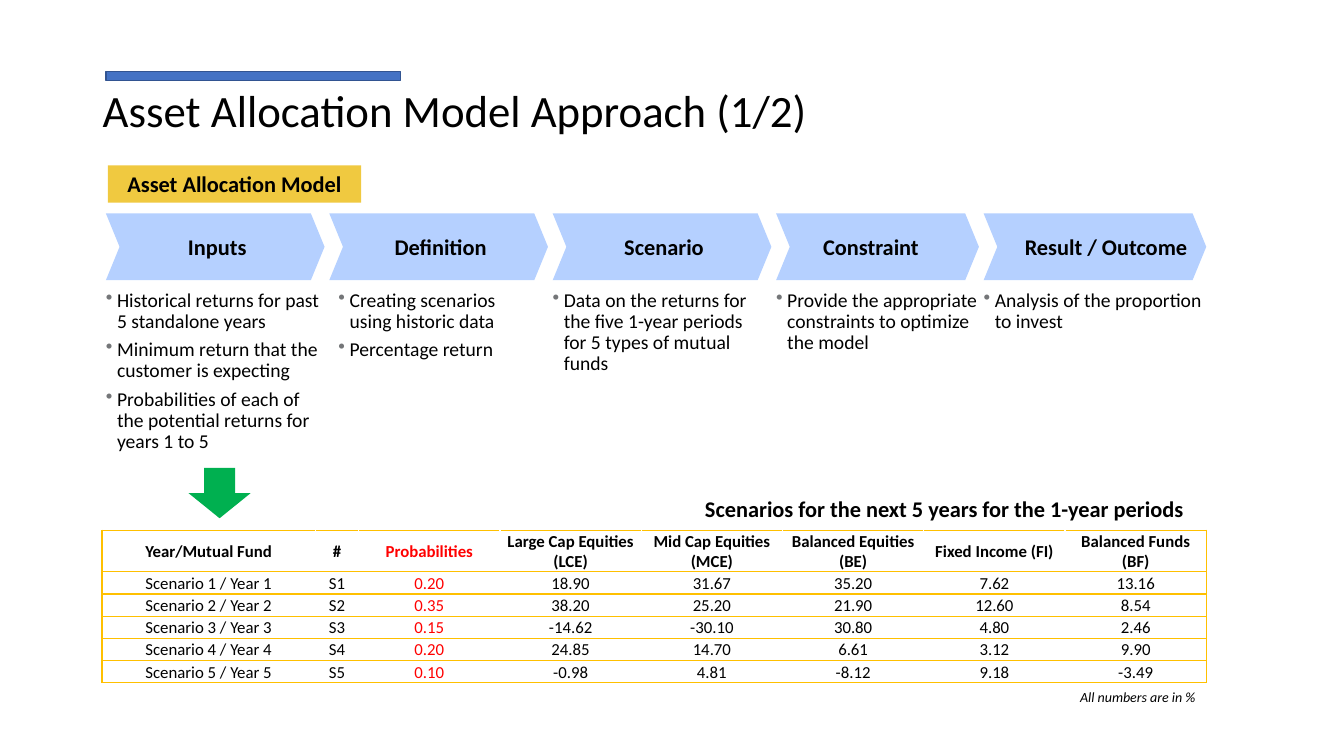
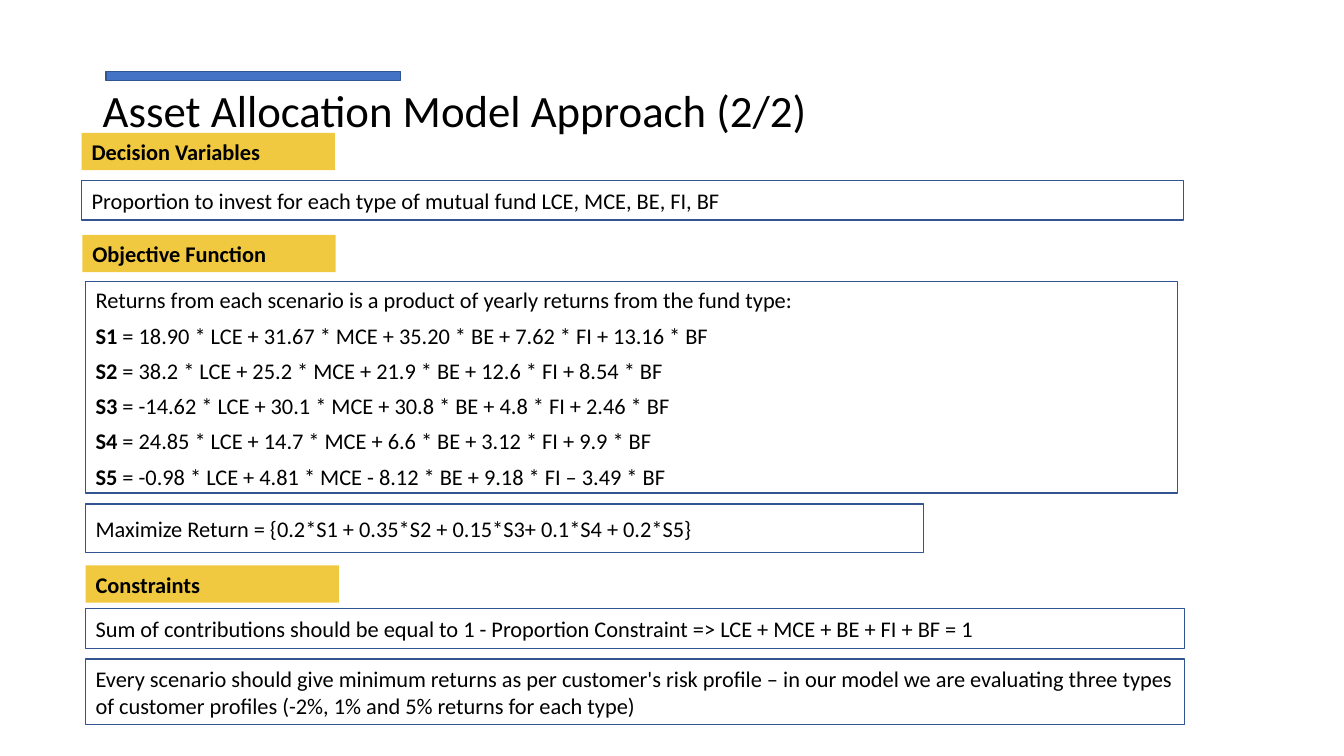
from pptx import Presentation
from pptx.dml.color import RGBColor
from pptx.enum.shapes import MSO_SHAPE
from pptx.enum.text import MSO_ANCHOR, PP_ALIGN
from pptx.oxml import parse_xml
from pptx.oxml.ns import nsdecls
from pptx.util import Cm, Pt

# ---- Shared style ----
FONT = "Calibri"
BLACK, WHITE, RED = "000000", "FFFFFF", "FF0000"
BLUE, NAVY, PALE_BLUE = "4472C4", "325491", "B5D0FF"
GOLD, TABLE_GOLD, GREEN, BULLET_GREY = "F0C940", "FFC000", "00B050", "747678"
INSETS = (0.25, 0.13, 0.25, 0.13)
LABEL_SIZE = (6.38, 0.94)

# ---- Content: slide 1 (lengths in cm) ----
TITLE = "Asset Allocation Model Approach ({}/2)"
MODEL_LABEL = "Asset Allocation Model"
# name, chevron width, left and right inset, bullet offset, bullet width, bullets
STEPS = [
    ("Inputs", 5.51, 0.1, 0, 0, 5.64,
     ["Historical returns for past 5 standalone years",
      "Minimum return that the customer is expecting",
      "Probabilities of each of the potential returns for years 1 to 5"]),
    ("Definition", 5.51, 0.1, 0, 0.23, 4.78,
     ["Creating scenarios using historic data", "Percentage return"]),
    ("Scenario", 5.51, 0.1, 0, 0, 5.18,
     ["Data on the returns for the five 1-year periods for 5 types of mutual funds"]),
    ("Constraint", 5.11, 0.1, 0.43, 0, 5.16,
     ["Provide the appropriate constraints to optimize the model"]),
    ("Result / Outcome", 5.61, 0.56, 0, 0, 5.61,
     ["Analysis of the proportion to invest"]),
]
STEPS_LEFT, STEPS_TOP, STEP_HEIGHT, STEP_GAP = 2.67, 5.38, 1.68, 0.12
BULLETS_TOP = 7.32

TABLE_TITLE = "Scenarios for the next 5 years for the 1-year periods"
TABLE_NOTE = "All numbers are in %"
FUND_HEADER = ["Year/Mutual Fund", "#", "Probabilities", "Large Cap Equities (LCE)",
               "Mid Cap Equities (MCE)", "Balanced Equities (BE)",
               "Fixed Income (FI)", "Balanced Funds (BF)"]
FUND_RETURNS = [
    ["0.20", "18.90", "31.67", "35.20", "7.62", "13.16"],
    ["0.35", "38.20", "25.20", "21.90", "12.60", "8.54"],
    ["0.15", "-14.62", "-30.10", "30.80", "4.80", "2.46"],
    ["0.20", "24.85", "14.70", "6.61", "3.12", "9.90"],
    ["0.10", "-0.98", "4.81", "-8.12", "9.18", "-3.49"],
]
FUND_COLUMNS = [5.38, 1.09] + [3.56] * 6
HEADER_HEIGHT, ROW_HEIGHT = 1.04, 0.56
PROBABILITY_COLUMN = 2

# ---- Content: slide 2 ----
# text, left, top
SECTION_LABELS = [
    ("Decision Variables", 2.06, 3.35),
    ("Objective Function", 2.08, 5.92),
    ("Constraints", 2.16, 14.25),
]
# text, left, top, width, height
STATEMENTS = [
    ("Proportion to invest for each type of mutual fund LCE, MCE, BE, FI, BF",
     2.06, 4.55, 27.76, 1),
    ("Maximize Return = {0.2*S1 + 0.35*S2 + 0.15*S3+ 0.1*S4 + 0.2*S5}",
     2.16, 12.7, 21.11, 1.22),
    ("Sum of contributions should be equal to 1 - Proportion Constraint => "
     "LCE + MCE + BE + FI + BF = 1", 2.16, 15.34, 27.69, 1),
    ("Every scenario should give minimum returns as per customer's risk profile – in our "
     "model we are evaluating three types of customer profiles (-2%, 1% and 5% returns "
     "for each type)", 2.16, 16.61, 27.69, 1.65),
]
RETURNS_INTRO = "Returns from each scenario is a product of yearly returns from the fund type:"
RETURNS = [
    ("S1", " = 18.90 * LCE + 31.67 * MCE + 35.20 * BE + 7.62 * FI + 13.16 * BF"),
    ("S2", " = 38.2 * LCE + 25.2 * MCE + 21.9 * BE + 12.6 * FI + 8.54 * BF"),
    ("S3", " = -14.62 * LCE + 30.1 * MCE + 30.8 * BE + 4.8 * FI + 2.46 * BF"),
    ("S4", " = 24.85 * LCE + 14.7 * MCE + 6.6 * BE + 3.12 * FI + 9.9 * BF"),
    ("S5", " = -0.98 * LCE + 4.81 * MCE - 8.12 * BE + 9.18 * FI – 3.49 * BF"),
]


# ---- Helpers ----
def rgb(color):
    return RGBColor.from_string(color)


def place(left, top, width, height):
    return Cm(left), Cm(top), Cm(width), Cm(height)


def add_run(paragraph, text, size=16, bold=False, italic=False, color=BLACK):
    run = paragraph.add_run()
    run.text = text
    run.font.name, run.font.size = FONT, Pt(size)
    run.font.bold, run.font.italic = bold, italic
    run.font.color.rgb = rgb(color)


def set_frame(shape, anchor=MSO_ANCHOR.TOP, insets=INSETS):
    frame = shape.text_frame
    frame.word_wrap = True
    frame.vertical_anchor = anchor
    (frame.margin_left, frame.margin_top,
     frame.margin_right, frame.margin_bottom) = map(Cm, insets)
    return frame


def add_block(slide, kind, box, fill=None, line=None):
    block = slide.shapes.add_shape(kind, *place(*box))
    block.shadow.inherit = False
    if fill:
        block.fill.solid()
        block.fill.fore_color.rgb = rgb(fill)
    else:
        block.fill.background()
    if line:
        block.line.color.rgb = rgb(line)
        block.line.width = Pt(1)
    else:
        block.line.fill.background()
    return block


def write(shape, text, align=PP_ALIGN.LEFT, anchor=MSO_ANCHOR.TOP, insets=INSETS, **style):
    paragraph = set_frame(shape, anchor, insets).paragraphs[0]
    paragraph.alignment = align
    add_run(paragraph, text, **style)
    return paragraph


def add_text(slide, box, text, **style):
    return write(slide.shapes.add_textbox(*place(*box)), text, **style)


def add_label(slide, text, left, top, align=PP_ALIGN.LEFT):
    label = add_block(slide, MSO_SHAPE.RECTANGLE, (left, top, *LABEL_SIZE), GOLD)
    write(label, text, align, bold=True)


def add_bullets(slide, box, bullets):
    frame = set_frame(slide.shapes.add_textbox(*place(*box)), insets=(0, 0, 0, 0))
    for i, bullet in enumerate(bullets):
        paragraph = frame.add_paragraph() if i else frame.paragraphs[0]
        properties = paragraph._p.get_or_add_pPr()
        properties.set("marL", str(Cm(0.28)))
        properties.set("indent", str(-Cm(0.28)))
        for xml in (f'<a:buClr {nsdecls("a")}><a:srgbClr val="{BULLET_GREY}"/></a:buClr>',
                    f'<a:buChar {nsdecls("a")} char="•"/>'):
            properties.append(parse_xml(xml))
        paragraph.line_spacing, paragraph.space_after = 0.9, Pt(5)
        add_run(paragraph, bullet, size=14)


def set_borders(cell, sides):
    for side in sides:
        cell._tc.get_or_add_tcPr().append(parse_xml(
            f'<a:ln{side} {nsdecls("a")} w="12700"><a:solidFill>'
            f'<a:srgbClr val="{TABLE_GOLD}"/></a:solidFill></a:ln{side}>'))


def add_fund_table(slide, left, top):
    rows = [FUND_HEADER] + [[f"Scenario {n} / Year {n}", f"S{n}", *values]
                            for n, values in enumerate(FUND_RETURNS, 1)]
    heights = [HEADER_HEIGHT] + [ROW_HEIGHT] * len(FUND_RETURNS)
    table = slide.shapes.add_table(len(rows), len(FUND_COLUMNS), *place(
        left, top, sum(FUND_COLUMNS), sum(heights))).table
    table.first_row = table.horz_banding = False
    for column, width in zip(table.columns, FUND_COLUMNS):
        column.width = Cm(width)
    for r, values in enumerate(rows):
        table.rows[r].height = Cm(heights[r])
        for c, value in enumerate(values):
            cell = table.cell(r, c)
            outer = "L" if c == 0 else "R" if c == len(values) - 1 else ""
            set_borders(cell, outer + "TB")
            cell.fill.solid()
            cell.fill.fore_color.rgb = rgb(WHITE)
            cell.vertical_anchor = MSO_ANCHOR.MIDDLE
            cell.margin_left = cell.margin_top = cell.margin_right = Cm(0.03)
            cell.margin_bottom = 0
            paragraph = cell.text_frame.paragraphs[0]
            paragraph.alignment = PP_ALIGN.CENTER
            add_run(paragraph, value, size=12, bold=r == 0,
                    color=RED if c == PROBABILITY_COLUMN else BLACK)


def add_titled_slide(deck, number):
    slide = deck.slides.add_slide(deck.slide_layouts[6])
    title = add_text(slide, (2.34, 1.02, 29.21, 3.68), TITLE.format(number),
                     anchor=MSO_ANCHOR.MIDDLE, size=32)
    title.line_spacing = 0.9
    add_block(slide, MSO_SHAPE.RECTANGLE, (2.67, 1.8, 7.42, 0.23), BLUE, NAVY)
    return slide


# ---- Slides ----
def build_process_slide(deck):
    slide = add_titled_slide(deck, 1)
    add_label(slide, MODEL_LABEL, 2.72, 4.17, PP_ALIGN.CENTER)

    # Process steps with their bullets
    left = STEPS_LEFT
    for name, width, inset_left, inset_right, offset, bullet_width, bullets in STEPS:
        step = add_block(slide, MSO_SHAPE.CHEVRON,
                         (left, STEPS_TOP, width, STEP_HEIGHT), PALE_BLUE)
        step.adjustments[0] = 0.205
        write(step, name, PP_ALIGN.CENTER, MSO_ANCHOR.MIDDLE,
              (inset_left, 0.13, inset_right, 0.13), bold=True)
        add_bullets(slide, (left + offset, BULLETS_TOP, bullet_width, 4.11), bullets)
        left += width + STEP_GAP

    # Scenario table
    add_block(slide, MSO_SHAPE.DOWN_ARROW, (4.75, 11.79, 1.57, 1.27), GREEN)
    add_text(slide, (17.17, 12.34, 13.26, 0.94), TABLE_TITLE,
             align=PP_ALIGN.CENTER, bold=True)
    add_fund_table(slide, 2.57, 13.36)
    add_text(slide, (26.97, 17.22, 3.8, 0.69), TABLE_NOTE, size=10, italic=True)


def build_formula_slide(deck):
    slide = add_titled_slide(deck, 2)
    for label in SECTION_LABELS:
        add_label(slide, *label)
    for text, *box in STATEMENTS:
        statement = add_block(slide, MSO_SHAPE.RECTANGLE, box, line=NAVY)
        write(statement, text, anchor=MSO_ANCHOR.MIDDLE)

    # Return of each scenario
    returns = add_block(slide, MSO_SHAPE.RECTANGLE, (2.16, 7.09, 27.51, 5.33), line=NAVY)
    write(returns, RETURNS_INTRO).space_after = Pt(6)
    for scenario, formula in RETURNS:
        paragraph = returns.text_frame.add_paragraph()
        paragraph.alignment, paragraph.space_after = PP_ALIGN.LEFT, Pt(6)
        add_run(paragraph, scenario, bold=True)
        add_run(paragraph, formula)


def main():
    deck = Presentation()
    deck.slide_width, deck.slide_height = Cm(33.87), Cm(19.05)
    build_process_slide(deck)
    build_formula_slide(deck)
    deck.save("out.pptx")


if __name__ == "__main__":
    main()
